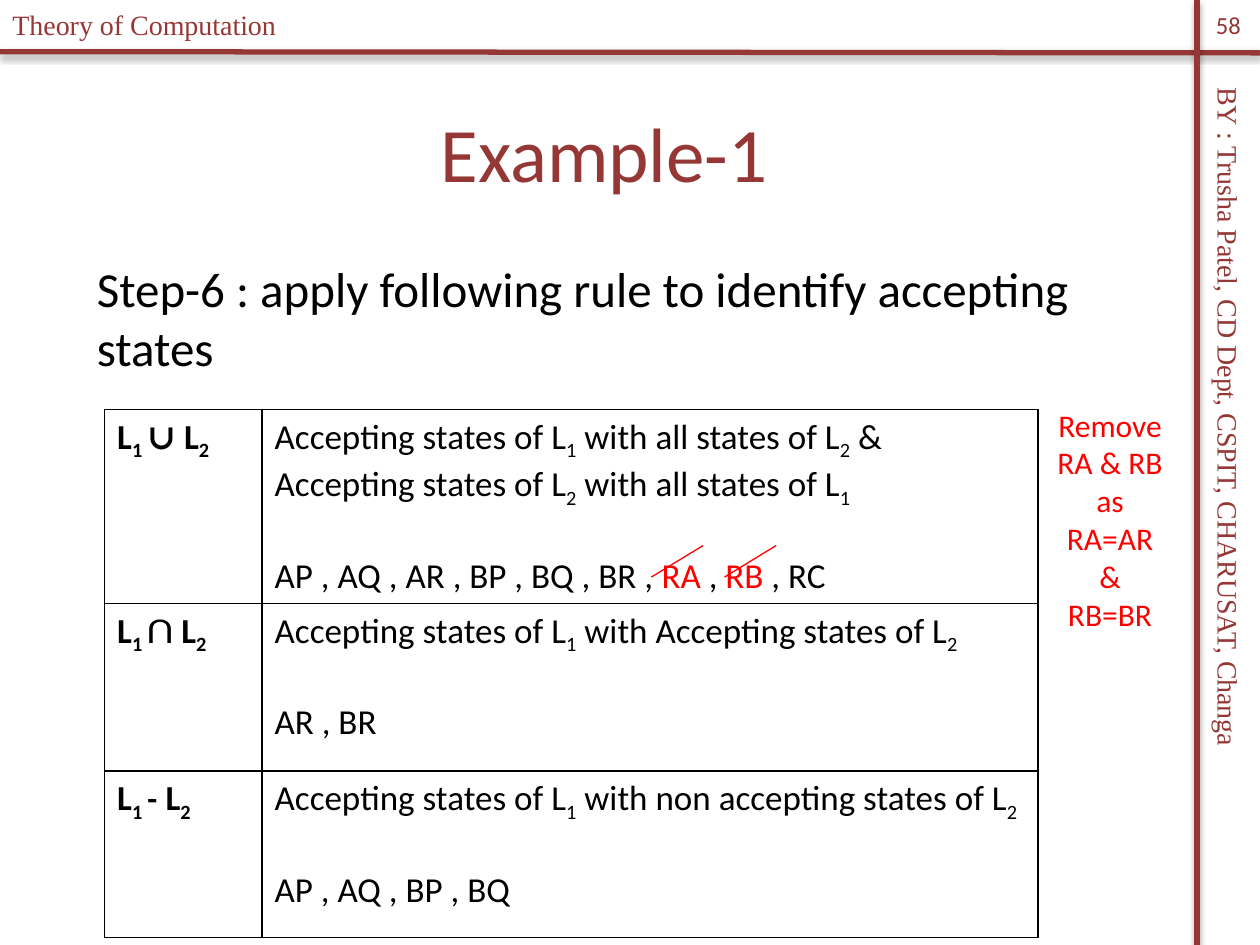
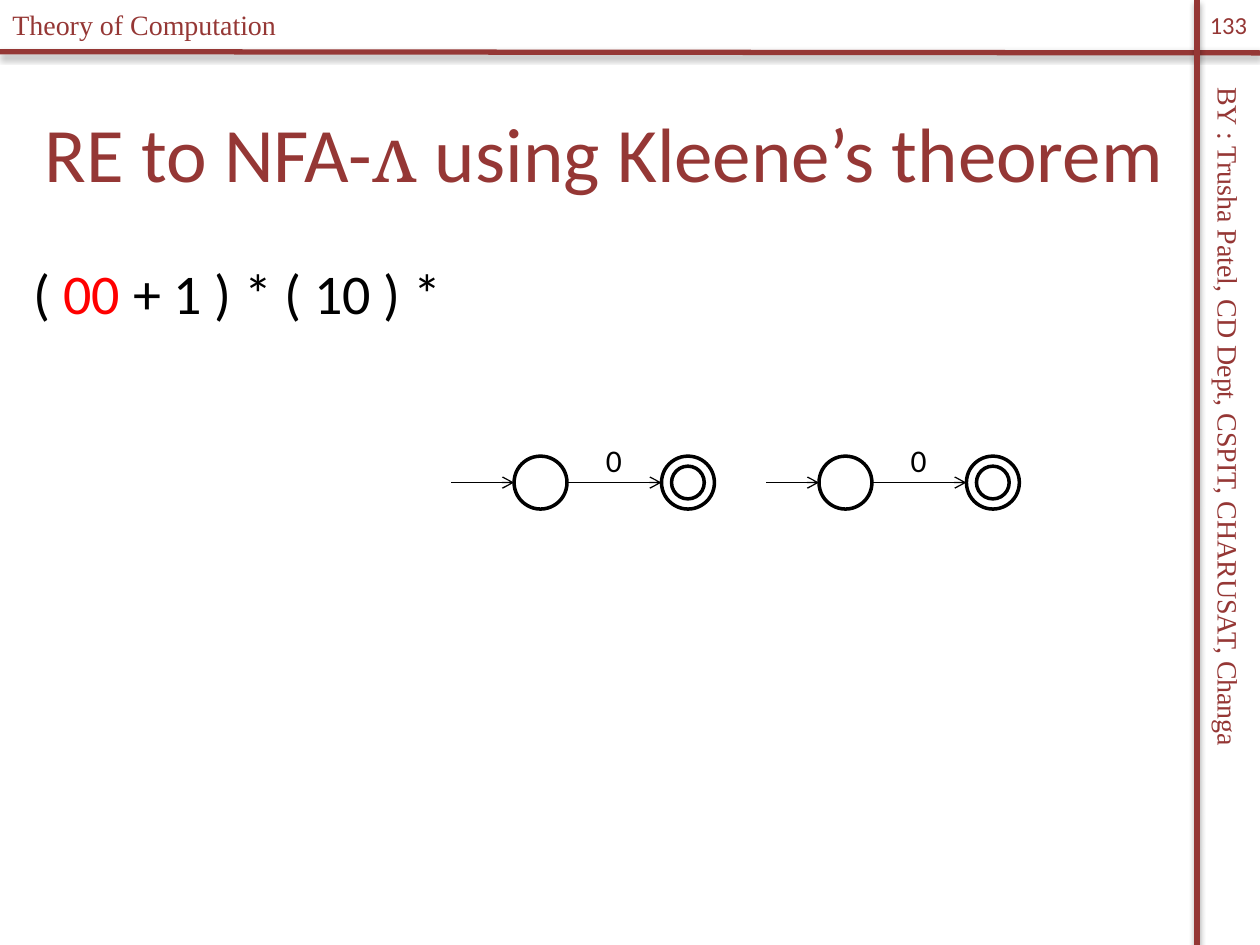
from dataclasses import dataclass

import pptx
import pptx.dml.color
import pptx.enum.dml
import pptx.enum.shapes
import pptx.enum.text
import pptx.oxml
import pptx.oxml.ns
import pptx.util
from lxml import etree

Inches = pptx.util.Inches
Pt = pptx.util.Pt
ALIGN = pptx.enum.text.PP_ALIGN
ANCHOR = pptx.enum.text.MSO_ANCHOR
qn = pptx.oxml.ns.qn


@dataclass(frozen=True)
class Theme:
    accent: str = "953735"
    ink: str = "000000"
    paper: str = "FFFFFF"
    alert: str = "FF0000"
    shadow: str = "000000"
    body_font: str = "Calibri"
    symbol_font: str = "Cambria"
    band_font: str = "Times New Roman"
    title_size: int = 44
    expression_size: int = 32
    step_size: int = 28
    rule_size: int = 20
    label_size: int = 18
    band_size: int = 16
    number_size: int = 14


THEME = Theme()
CONTENT = (0.17, 2, 9.25, 5.25)
SYMBOL = {"font": THEME.symbol_font}
ALERT = {"color": THEME.alert}


def rgb(value):
    return pptx.dml.color.RGBColor.from_string(value)


def subscripts(marked):
    parts = marked.split("|")
    return [(part, {"baseline": -25000 * (i % 2)}) for i, part in enumerate(parts) if part]


def write(frame, paragraphs, size, color=THEME.ink, font=THEME.body_font, bold=False,
          align=ALIGN.LEFT, indent=0, last_gap=0):
    for index, runs in enumerate(paragraphs):
        paragraph = frame.paragraphs[0] if index == 0 else frame.add_paragraph()
        paragraph.alignment = align
        if indent:
            paragraph._p.get_or_add_pPr().set("marL", str(Inches(indent)))
        if last_gap and index == len(paragraphs) - 1:
            paragraph.space_before = Pt(last_gap)
        for content, style in runs:
            run = paragraph.add_run()
            run.text = content
            run.font.size = Pt(size)
            run.font.bold = bold
            run.font.name = style.get("font", font)
            run.font.color.rgb = rgb(style.get("color", color))
            if style.get("baseline"):
                run._r.get_or_add_rPr().set("baseline", str(style["baseline"]))


def add_text(slide, box, paragraphs, wrap=True, anchor=ANCHOR.TOP, rotation=0, **style):
    holder = slide.shapes.add_textbox(*map(Inches, box))
    holder.rotation = rotation
    frame = holder.text_frame
    frame.word_wrap = wrap
    frame.vertical_anchor = anchor
    write(frame, paragraphs, **style)


def add_line(slide, start, end, color, width, arrow=False, shadow=False):
    line = slide.shapes.add_connector(
        pptx.enum.shapes.MSO_CONNECTOR.STRAIGHT, *map(Inches, (*start, *end)))
    line.line.color.rgb = rgb(color)
    line.line.width = Pt(width)
    properties = line._element.spPr
    if arrow:
        etree.SubElement(properties.find(qn("a:ln")), qn("a:tailEnd"), type="arrow")
    effects = etree.SubElement(properties, qn("a:effectLst"))
    if shadow:
        cast = etree.SubElement(effects, qn("a:outerShdw"), blurRad=str(Pt(3.1)),
                                dist=str(Pt(1.8)), dir="5400000", rotWithShape="0")
        tone = etree.SubElement(cast, qn("a:srgbClr"), val=THEME.shadow)
        etree.SubElement(tone, qn("a:alpha"), val="35000")


def add_circle(slide, left, top, diameter):
    circle = slide.shapes.add_shape(pptx.enum.shapes.MSO_SHAPE.OVAL,
                                    *map(Inches, (left, top, diameter, diameter)))
    circle.shadow.inherit = False
    circle.fill.solid()
    circle.fill.fore_color.rgb = rgb(THEME.paper)
    circle.line.color.rgb = rgb(THEME.ink)
    circle.line.width = Pt(2)


def add_course_frame(slide, number, title):
    band = {"size": THEME.band_size, "font": THEME.band_font, "color": THEME.accent}
    add_line(slide, (0, 0.41), (10, 0.42), THEME.accent, 3, shadow=True)
    add_line(slide, (9.5, 0), (9.5, 7.5), THEME.accent, 3, shadow=True)
    add_text(slide, (6.54, 3.62, 6.42, 0.37),
             [[("BY : Trusha Patel, CD Dept, CSPIT, CHARUSAT, Changa", {})]],
             rotation=90, **band)
    add_text(slide, (0, 0.01, 3.29, 0.37), [[("Theory of Computation", {})]], **band)
    centered = {"anchor": ANCHOR.MIDDLE, "align": ALIGN.CENTER, "color": THEME.accent}
    add_text(slide, (0.17, 0.58, 9.25, 1.25), [title], size=THEME.title_size, **centered)
    add_text(slide, (9.5, 0, 0.5, 0.4), [[(str(number), {})]], wrap=False,
             size=THEME.number_size, **centered)


def outline_cell(cell):
    cell.fill.background()
    properties = cell._tc.get_or_add_tcPr()
    for position, side in enumerate(("lnL", "lnR", "lnT", "lnB")):
        border = pptx.oxml.parse_xml(
            f'<a:{side} {pptx.oxml.ns.nsdecls("a")} w="{Pt(1)}"><a:solidFill>'
            f'<a:srgbClr val="{THEME.ink}"/></a:solidFill></a:{side}>')
        properties.insert(position, border)


def add_rule_table(slide, box, columns, heights, rules):
    left, top, width, height = map(Inches, box)
    table = slide.shapes.add_table(len(rules), len(columns), left, top, width, height).table
    table.first_row = table.horz_banding = False
    for column, size in zip(table.columns, columns):
        column.width = Inches(size)
    for row, size, (operator, conditions, states) in zip(table.rows, heights, rules):
        row.height = Inches(size)
        operation, accepting = row.cells
        write(operation.text_frame,
              [[*subscripts("L|1 |"), (operator + " ", SYMBOL), *subscripts("L|2")]],
              THEME.rule_size, bold=True)
        write(accepting.text_frame, [*map(subscripts, conditions), states],
              THEME.rule_size, last_gap=25)
        outline_cell(operation)
        outline_cell(accepting)


def add_removed_states(slide, left, top):
    for offset in (0, 0.58):
        add_line(slide, (left + offset + 0.41, top), (left + offset, top + 0.25),
                 THEME.alert, 0.75)


def build_accepting_states(slide):
    add_course_frame(slide, 58, [("Example-1", {})])
    left, top, _, _ = CONTENT
    add_text(slide, CONTENT,
             [[("Step-6 : apply following rule to identify accepting states", {})]],
             size=THEME.step_size, indent=0.5)
    rules = [
        ("∪", ["Accepting states of L|1| with all states of L|2| &",
               "Accepting states of L|2| with all states of L|1"],
         [("AP , AQ , AR , BP , BQ , BR , ", {}), ("RA", ALERT), (" , ", {}),
          ("RB", ALERT), (" , RC", {})]),
        ("∩", ["Accepting states of L|1| with Accepting states of L|2"], [("AR , BR", {})]),
        ("-", ["Accepting states of L|1| with non accepting states of L|2"],
         [("AP , AQ , BP , BQ", {})]),
    ]
    add_rule_table(slide, (left + 0.66, top + 1.25, 7.41, 4.16),
                   (1.25, 6.16), (1.5, 1.33, 1.32), rules)
    add_removed_states(slide, left + 5, top + 2.33)
    reason = ("Remove", "RA & RB", "as", "RA=AR", "&", "RB=BR")
    add_text(slide, (left + 8.12, top + 1.17, 1.04, 1.92), [[(part, {})] for part in reason],
             wrap=False, size=THEME.label_size, color=THEME.alert, align=ALIGN.CENTER)


def add_automaton(slide, left, top, entry, symbol):
    state, step, inset = 0.42, 1.17, 0.08
    middle = top + state / 2
    accepting = left + step
    add_circle(slide, left, top, state)
    add_circle(slide, accepting, top, state)
    add_circle(slide, accepting + inset, top + inset, state - 2 * inset)
    add_line(slide, (left + state, middle), (accepting, middle), THEME.ink, 0.75, arrow=True)
    add_line(slide, (left - entry, middle), (left, middle), THEME.ink, 0.75, arrow=True)
    add_text(slide, (left + 0.63, top - 0.17, 0.33, 0.4), [[(symbol, {})]],
             wrap=False, size=THEME.label_size)


def build_kleene_theorem(slide):
    add_course_frame(slide, 133, [("RE to NFA-", {}), ("ʌ", SYMBOL),
                                  (" using Kleene’s theorem", {})])
    left, top, _, _ = CONTENT
    add_text(slide, CONTENT, [[("( ", {}), ("00", ALERT), (" + 1 ) * ( 10 ) *", {})]],
             size=THEME.expression_size)
    for offset, entry in ((3.91, 0.5), (6.33, 0.42)):
        add_automaton(slide, left + offset, top + 1.62, entry, "0")


def main():
    deck = pptx.Presentation()
    deck.slide_width = Inches(10)
    deck.slide_height = Inches(7.5)
    for build in (build_accepting_states, build_kleene_theorem):
        build(deck.slides.add_slide(deck.slide_layouts[6]))
    deck.save("out.pptx")


if __name__ == "__main__":
    main()
